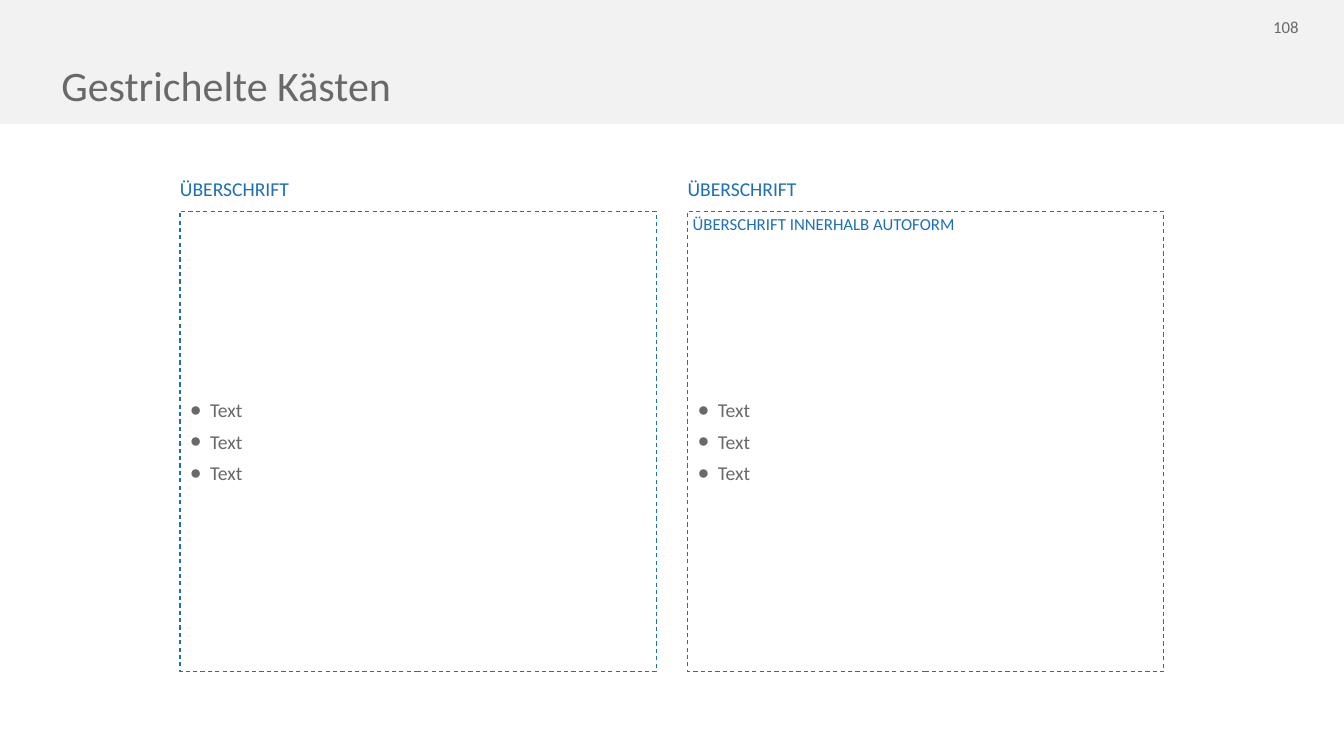
from lxml import etree
from pptx import Presentation
from pptx.dml.color import RGBColor
from pptx.enum import dml, shapes, text
from pptx.oxml.ns import qn
from pptx.util import Cm, Pt

BLUE = RGBColor(0x1D, 0x6F, 0xB8)
GREY = RGBColor(0x69, 0x69, 0x69)
PALE = RGBColor(0xF2, 0xF2, 0xF2)


def write(shape, *lines, size=28, color=GREY, pad=(0, 0.25), bullet=None,
          align=text.PP_ALIGN.LEFT, anchor=text.MSO_ANCHOR.TOP,
          after=0, space=1.0, wrap=True):
    frame = shape.text_frame
    frame.auto_size = text.MSO_AUTO_SIZE.NONE
    frame.word_wrap = wrap
    frame.vertical_anchor = anchor
    frame.margin_left = frame.margin_right = Cm(pad[0])
    frame.margin_top = frame.margin_bottom = Cm(pad[1])
    frame.text = "\n".join(lines)
    for para in frame.paragraphs:
        if bullet:
            props = para._p.get_or_add_pPr()
            props.set("marL", str(Cm(1.02)))
            props.set("indent", str(-Cm(1.02)))
            etree.SubElement(props, qn("a:buChar")).set("char", bullet)
        para.alignment = align
        para.line_spacing = space
        para.space_before = Pt(0)
        para.space_after = Pt(after)
        para.font.size = Pt(size)
        para.font.name = "Calibri"
        para.font.color.rgb = color


deck = Presentation()
deck.slide_width, deck.slide_height = Cm(67.72), Cm(38.1)
slide = deck.slides.add_slide(deck.slide_layouts[3])
title, *boxes = slide.placeholders

band = slide.shapes.add_shape(shapes.MSO_SHAPE.RECTANGLE, 0, 0, deck.slide_width, Cm(6.25))
band.shadow.inherit = False
band.fill.solid()
band.fill.fore_color.rgb = PALE
band.line.fill.background()
title.element.addprevious(band.element)

title.left, title.top, title.width, title.height = Cm(2.84), Cm(3.05), Cm(62), Cm(3.2)
write(title, "Gestrichelte Kästen", size=60, pad=(0.25, 0.25), space=0.9)

page = slide.shapes.add_textbox(Cm(62.69), Cm(0.61), Cm(3.25), Cm(1.55))
write(page, "108", size=24, pad=(0.5, 0.25), align=text.PP_ALIGN.RIGHT)

top = Cm(10.64)
for col, box in enumerate(boxes):
    left = Cm(9.07 + col * 25.58)
    box.left, box.top, box.width, box.height = left, top, Cm(24), Cm(23.19)
    box.line.color.rgb = BLUE
    box.line.width = Pt(1.5)
    box.line.dash_style = dml.MSO_LINE.DASH
    write(box, *["Text"] * 3, pad=(0.5, 0.25), bullet="●", after=12,
          anchor=text.MSO_ANCHOR.MIDDLE)
    head = slide.shapes.add_textbox(left, Cm(8.66), Cm(7.6), Cm(1.73))
    write(head, "ÜBERSCHRIFT", color=BLUE)

inner = slide.shapes.add_textbox(left, top, Cm(13.82), Cm(1.27))
write(inner, "ÜBERSCHRIFT INNERHALB AUTOFORM", size=24, color=BLUE,
      pad=(0.25, 0.13), wrap=False)

deck.save("out.pptx")
